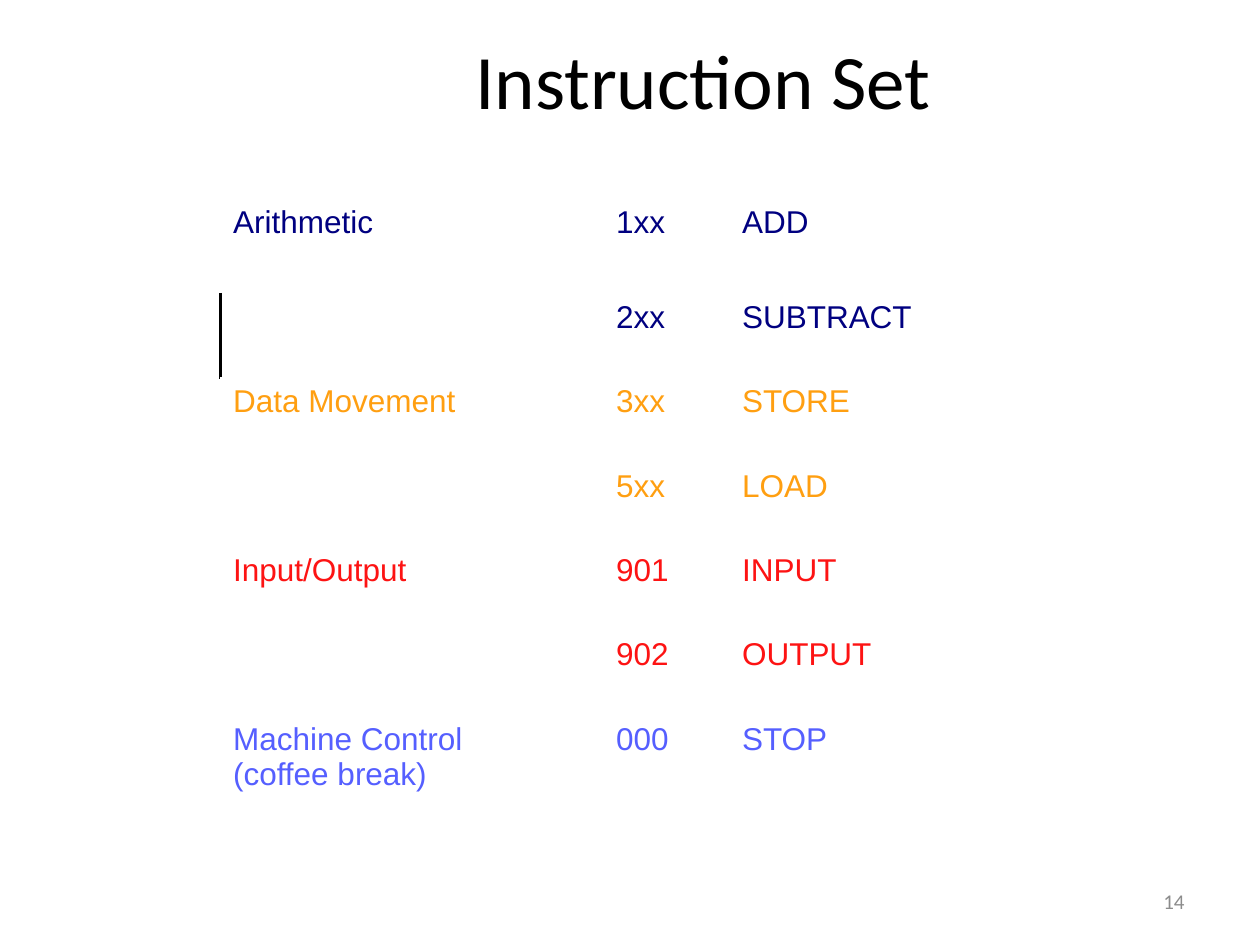
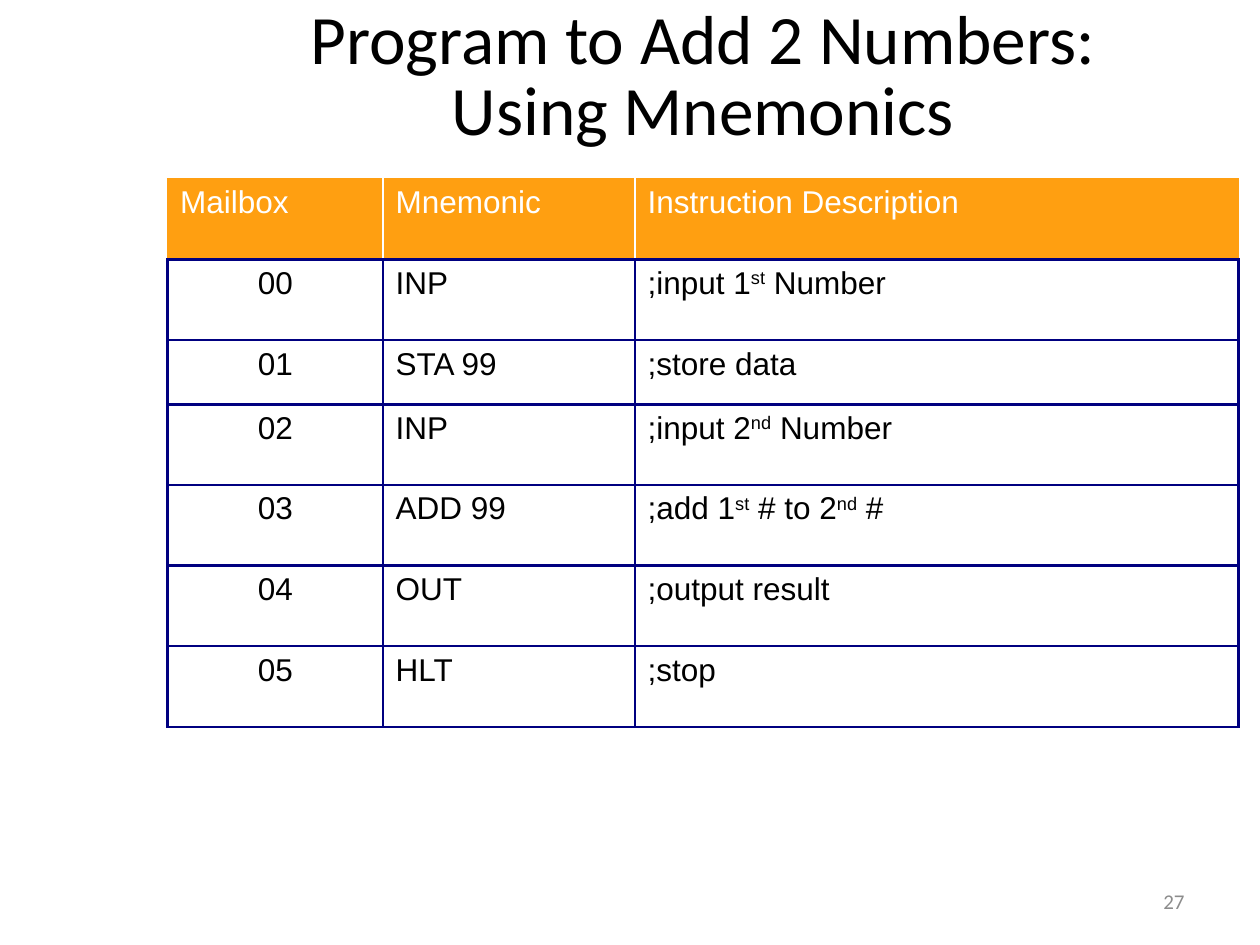
from lxml import etree
from pptx import Presentation
from pptx.dml.color import RGBColor
from pptx.enum.text import MSO_ANCHOR, MSO_AUTO_SIZE, PP_ALIGN
from pptx.oxml.ns import qn
from pptx.util import Inches, Pt

BLACK = RGBColor(0x00, 0x00, 0x00)
WHITE = RGBColor(0xFF, 0xFF, 0xFF)
GREY = RGBColor(0x8C, 0x8C, 0x8C)
NAVY = RGBColor(0x00, 0x00, 0x80)
ORANGE = RGBColor(0xFF, 0x9F, 0x11)
RED = RGBColor(0xFD, 0x13, 0x13)
BLUE = RGBColor(0x55, 0x5F, 0xFF)

HEADING_FONT = "Calibri"
TABLE_FONT = "Arial"
TITLE_ONLY = 5

# Group, colour, and the codes with their mnemonics
INSTRUCTION_GROUPS = [
    ("Arithmetic", NAVY, [("1xx", "ADD"), ("2xx", "SUBTRACT")]),
    ("Data Movement", ORANGE, [("3xx", "STORE"), ("5xx", "LOAD")]),
    ("Input/Output", RED, [("901", "INPUT"), ("902", "OUTPUT")]),
    ("Machine Control\n(coffee break)", BLUE, [("000", "STOP")]),
]

# Text between carets is superscript
PROGRAM_HEADER = ("Mailbox", "Mnemonic", "Instruction Description")
PROGRAM = [
    ("INP", ";input 1^st^ Number"),
    ("STA 99", ";store data"),
    ("INP", ";input 2^nd^ Number"),
    ("ADD 99", ";add 1^st^ # to 2^nd^ #"),
    ("OUT", ";output result"),
    ("HLT", ";stop"),
]


def write(frame, text, font, size, color, align=PP_ALIGN.LEFT):
    """Fill a text frame; carets enclose superscripts, newlines break lines."""
    paragraph = frame.paragraphs[0]
    paragraph.alignment = align
    for line_no, line in enumerate(text.split("\n")):
        if line_no:
            paragraph.add_line_break()
        for part_no, part in enumerate(line.split("^")):
            if not part:
                continue
            run = paragraph.add_run()
            run.text = part
            run.font.name = font
            run.font.size = Pt(size)
            run.font.bold = False
            run.font.color.rgb = color
            if part_no % 2:
                run.font._element.set("baseline", "30000")
    return paragraph


def add_slide(prs, title, number, title_size=44, line_spacing=None):
    """Add a slide with the shared title style and page number."""
    slide = prs.slides.add_slide(prs.slide_layouts[TITLE_ONLY])
    heading = slide.shapes.title
    heading.left, heading.top = Inches(1.33), Inches(0)
    heading.width, heading.height = Inches(8.5), Inches(1.25)
    frame = heading.text_frame
    frame.auto_size = MSO_AUTO_SIZE.NONE
    frame.vertical_anchor = MSO_ANCHOR.MIDDLE
    paragraph = write(frame, title, HEADING_FONT, title_size, BLACK, PP_ALIGN.CENTER)
    paragraph.line_spacing = line_spacing

    box = slide.shapes.add_textbox(Inches(7.17), Inches(6.95), Inches(2.33), Inches(0.4))
    box.text_frame.word_wrap = True
    box.text_frame.vertical_anchor = MSO_ANCHOR.MIDDLE
    write(box.text_frame, str(number), HEADING_FONT, 12, GREY, PP_ALIGN.RIGHT)
    return slide


def add_table(slide, left, top, widths, heights):
    """Add a table without banding or cell fills."""
    table = slide.shapes.add_table(
        len(heights), len(widths), Inches(left), Inches(top),
        Inches(sum(widths)), Inches(sum(heights))).table
    table.first_row = table.horz_banding = False
    for column, width in zip(table.columns, widths):
        column.width = Inches(width)
    for row, height in zip(table.rows, heights):
        row.height = Inches(height)
    for cell in table.iter_cells():
        cell.fill.background()
    return table


def set_borders(cell, **borders):
    """Set borders by side (L, R, T, B), each a (colour, points) pair."""
    properties = cell._tc.get_or_add_tcPr()
    sides = [side for side in "LRTB" if side in borders]
    for position, side in enumerate(sides):
        color, points = borders[side]
        line = etree.Element(qn(f"a:ln{side}"), w=str(Pt(points)))
        fill = etree.SubElement(line, qn("a:solidFill"))
        etree.SubElement(fill, qn("a:srgbClr"), val=str(color))
        properties.insert(position, line)


def instruction_set_slide(prs):
    slide = add_slide(prs, "Instruction Set", 14)
    table = add_table(slide, 1.75, 1.58, [3.04, 1, 1.6], [0.75] + [0.67] * 5 + [0.7])
    row = 0
    for group, color, instructions in INSTRUCTION_GROUPS:
        write(table.cell(row, 0).text_frame, group, TABLE_FONT, 18, color)
        for instruction in instructions:
            for column, text in enumerate(instruction, start=1):
                write(table.cell(row, column).text_frame, text, TABLE_FONT, 18, color)
            row += 1
    # Bar beside the second row
    set_borders(table.cell(1, 0), L=(BLACK, 2.25))


def program_slide(prs):
    slide = add_slide(prs, "Program to Add 2 Numbers:\nUsing Mnemonics", 27, 39.6, 0.85)
    table = add_table(slide, 1.33, 1.42, [1.71, 2, 4.79], [0.64] * 2 + [0.51] + [0.64] * 4)
    grid, edge, divider = (NAVY, 1.5), (ORANGE, 1), (WHITE, 1)

    # Header row
    last = len(PROGRAM_HEADER) - 1
    for column, text in enumerate(PROGRAM_HEADER):
        cell = table.cell(0, column)
        cell.fill.solid()
        cell.fill.fore_color.rgb = ORANGE
        write(cell.text_frame, text, TABLE_FONT, 18, WHITE)
        set_borders(cell, L=divider if column else edge,
                    R=divider if column < last else edge, T=edge, B=grid)

    # One row per mailbox
    for mailbox, instruction in enumerate(PROGRAM):
        for column, text in enumerate((f"{mailbox:02}", *instruction)):
            cell = table.cell(mailbox + 1, column)
            align = PP_ALIGN.LEFT if column else PP_ALIGN.CENTER
            write(cell.text_frame, text, TABLE_FONT, 18, BLACK, align)
            set_borders(cell, L=grid, R=grid, T=grid, B=grid)


def main():
    prs = Presentation()
    prs.slide_width, prs.slide_height = Inches(10), Inches(7.5)
    instruction_set_slide(prs)
    program_slide(prs)
    prs.save("out.pptx")


main()
